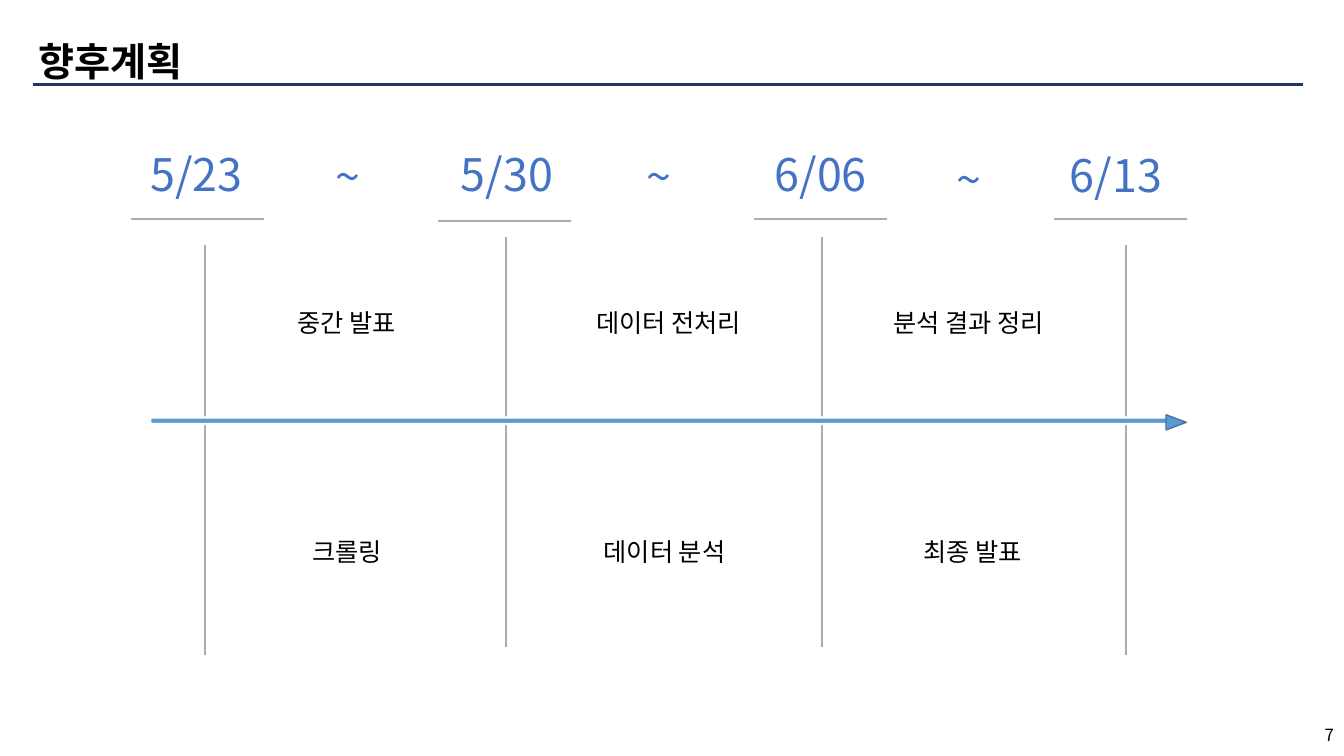
from lxml.etree import SubElement
from pptx import Presentation
from pptx.dml.color import RGBColor
from pptx.enum.shapes import MSO_CONNECTOR, MSO_SHAPE
from pptx.enum.text import MSO_ANCHOR, MSO_AUTO_SIZE, PP_ALIGN
from pptx.oxml.ns import qn
from pptx.util import Pt

SCALE = 9144
NAVY, GRAY, BLACK = "203864", "AFABAB", "000000"
BLUE, SKY, STEEL, WHITE = "4472C4", "5B9BD5", "43739E", "FFFFFF"


def px(n):
    return n * SCALE


def color(code):
    return RGBColor.from_string(code)


class Deck:
    font = "Noto Sans CJK KR"

    def __init__(self, width, height):
        self.prs = Presentation()
        self.prs.slide_width, self.prs.slide_height = px(width), px(height)
        self.slide = self.prs.slides.add_slide(self.prs.slide_layouts[5])
        self.shapes = self.slide.shapes

    def style(self, shape, text, size, code, align, anchor=MSO_ANCHOR.TOP, bold=False):
        frame = shape.text_frame
        frame.text = text
        frame.word_wrap = True
        frame.auto_size = MSO_AUTO_SIZE.NONE
        frame.vertical_anchor = anchor
        para = frame.paragraphs[0]
        para.alignment = align
        font = para.font
        font.name, font.size, font.bold = self.font, Pt(size), bold
        font.color.rgb = color(code)
        props = para._p.pPr.find(qn("a:defRPr"))
        SubElement(props, qn("a:ea")).set("typeface", self.font)

    def title(self, text, x, y, w, h):
        shape = self.shapes.title
        shape.left, shape.top, shape.width, shape.height = map(px, (x, y, w, h))
        self.style(shape, text, 28, BLACK, PP_ALIGN.LEFT, bold=True)

    def label(self, text, x, y, w, h, size, code=BLACK, align=PP_ALIGN.CENTER, anchor=MSO_ANCHOR.TOP):
        box = self.shapes.add_textbox(*map(px, (x, y, w, h)))
        self.style(box, text, size, code, align, anchor)

    def line(self, x1, y1, x2, y2, code=GRAY, width=1.5):
        rule = self.shapes.add_connector(MSO_CONNECTOR.STRAIGHT, *map(px, (x1, y1, x2, y2)))
        rule.line.color.rgb = color(code)
        rule.line.width = Pt(width)
        SubElement(rule._element.spPr, qn("a:effectLst"))

    def shape(self, kind, x, y, w, h, fill, edge, width, turn=0):
        item = self.shapes.add_shape(kind, *map(px, (x, y, w, h)))
        item.shadow.inherit = False
        item.fill.solid()
        item.fill.fore_color.rgb = color(fill)
        item.line.color.rgb = color(edge)
        item.line.width = Pt(width)
        item.rotation = turn


def main():
    deck = Deck(1333, 750)
    deck.title("향후계획", 28, 32, 888, 57)
    deck.line(33, 84, 1292, 84, NAVY, 2.25)
    deck.label("7", 1033, 709, 300, 40, 12, align=PP_ALIGN.RIGHT, anchor=MSO_ANCHOR.MIDDLE)

    dates = [
        ("5/23 ", 90, 141, 130, 217, 203, 243),
        ("5/30", 393, 141, 434, 219, 502, 235),
        ("6/06", 704, 141, 748, 217, 815, 235),
        ("6/13", 997, 142, 1045, 217, 1117, 243),
    ]
    for date, x, y, left, base, mid, top in dates:
        deck.label(date, x, y, 220, 64, 32, BLUE)
        deck.line(left, base, left + 132, base)
        deck.line(mid, top, mid, top + 407)

    for x, y in [(295, 143), (604, 143), (911, 146)]:
        deck.label("~", x, y, 100, 64, 32, BLUE)

    deck.shape(MSO_SHAPE.RIGHT_ARROW, 149, 411, 1018, 13, SKY, WHITE, 1.5)
    deck.shape(MSO_SHAPE.ISOSCELES_TRIANGLE, 1159, 409, 15, 20, SKY, STEEL, 1, 90)

    tasks = {
        300: [("중간 발표", 255), ("데이터 전처리", 574), ("분석 결과 정리", 872)],
        527: [("크롤링", 255), ("데이터 분석", 570), ("최종 발표", 876)],
    }
    for y, row in tasks.items():
        for task, x in row:
            deck.label(task, x, y, 178, 40, 18)

    deck.prs.save("out.pptx")


if __name__ == "__main__":
    main()
